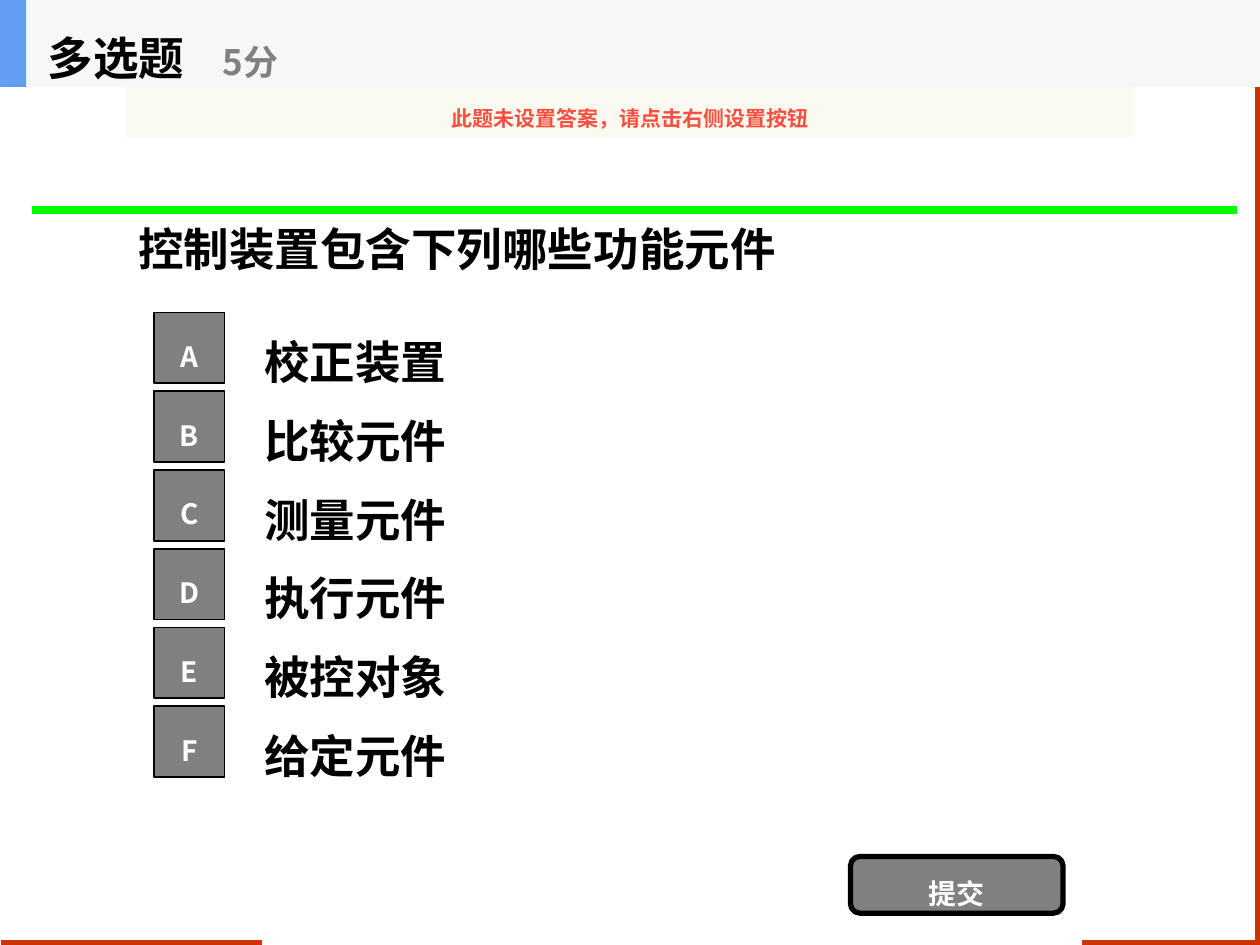
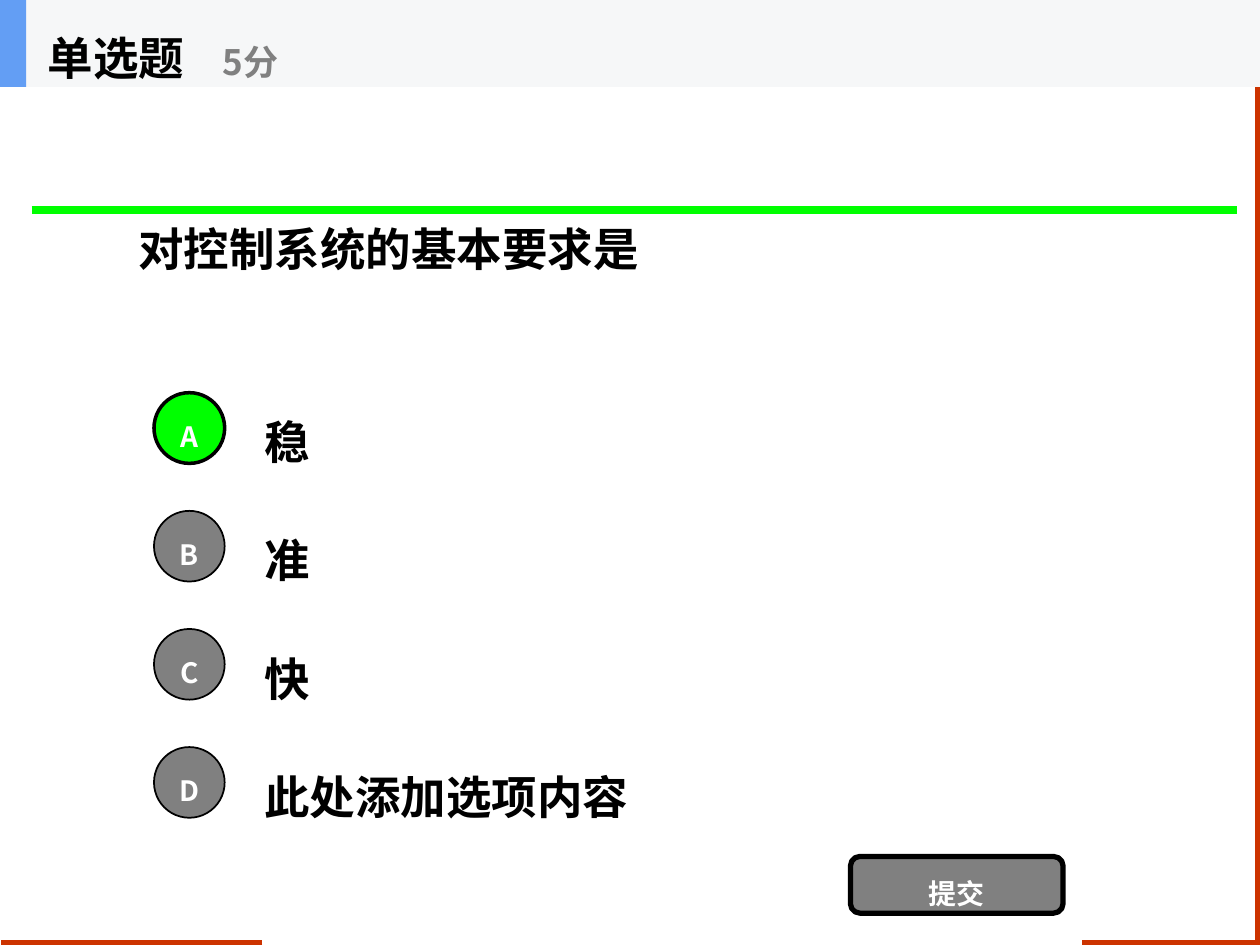
from typing import NamedTuple

from lxml import etree
from pptx import Presentation
from pptx.dml.color import RGBColor
from pptx.enum.shapes import MSO_CONNECTOR, MSO_SHAPE
from pptx.enum.text import MSO_ANCHOR, PP_ALIGN
from pptx.oxml.ns import qn
from pptx.util import Pt

RECT = MSO_SHAPE.RECTANGLE
OVAL = MSO_SHAPE.OVAL
ROUNDED = MSO_SHAPE.ROUNDED_RECTANGLE
STRAIGHT = MSO_CONNECTOR.STRAIGHT
MIDDLE = MSO_ANCHOR.MIDDLE
CENTER = PP_ALIGN.CENTER
JUSTIFY = PP_ALIGN.JUSTIFY

BLACK = RGBColor(0x00, 0x00, 0x00)
WHITE = RGBColor(0xFF, 0xFF, 0xFF)
GRAY = RGBColor(0x80, 0x80, 0x80)
GREEN = RGBColor(0x00, 0xFF, 0x00)
FRAME_RED = RGBColor(0xCC, 0x33, 0x00)
BAND_GRAY = RGBColor(0xF6, 0xF7, 0xF8)
BAND_BLUE = RGBColor(0x63, 0x9E, 0xF4)
HINT_CREAM = RGBColor(0xFB, 0xFA, 0xEF)
HINT_RED = RGBColor(0xF8, 0x4F, 0x41)

FONT = "Noto Sans CJK SC"
PAGE_WIDTH, PAGE_HEIGHT = 720, 540
BAND_HEIGHT = 49.7
BODY_LEFT, BODY_WIDTH = 72, 576
MARKER_LEFT, MARKER_SIZE = 88, 40.4
OPTION_LEFT, OPTION_WIDTH, OPTION_HEIGHT = 144, 504, 50.4


class Area(NamedTuple):
    left: float
    top: float
    width: float
    height: float


class Rule(NamedTuple):
    start: tuple[float, float]
    end: tuple[float, float]
    color: RGBColor
    weight: float


class TextStyle(NamedTuple):
    size: float
    color: RGBColor
    align: PP_ALIGN


class Question(NamedTuple):
    kind: str
    prompt: str
    options: list[str]
    marker: MSO_SHAPE
    first_top: float
    step: float
    chosen: str = ""
    hint: str = ""


BODY = TextStyle(26, BLACK, JUSTIFY)
SCORE = TextStyle(20, GRAY, JUSTIFY)
BUTTON = TextStyle(16, WHITE, CENTER)
HINT = TextStyle(12, HINT_RED, CENTER)

FRAME = [
    Rule((149.8, 538.6), (0.7, 538.6), FRAME_RED, 3),
    Rule((718.6, 540), (718.6, 0), FRAME_RED, 3),
    Rule((717.1, 538.6), (618.5, 538.6), FRAME_RED, 3),
    Rule((18, 120), (707, 120), GREEN, 4.5),
]

QUESTIONS = [
    Question(
        "多选题", "控制装置包含下列哪些功能元件",
        ["校正装置", "比较元件", "测量元件", "执行元件", "被控对象", "给定元件"],
        RECT, 178.6, 45, hint="此题未设置答案，请点击右侧设置按钮",
    ),
    Question(
        "单选题", "对控制系统的基本要求是",
        ["稳", "准", "快", "此处添加选项内容"],
        OVAL, 224.4, 67.5, chosen="A",
    ),
]


def write(box, text: str, style: TextStyle) -> None:
    frame = box.text_frame
    frame.word_wrap = True
    frame.vertical_anchor = MIDDLE
    para = frame.paragraphs[0]
    para.alignment = style.align
    para.line_spacing = 1.5
    span = para.add_run()
    span.text = text
    span.font.size = Pt(style.size)
    span.font.bold = True
    span.font.name = FONT
    span.font.color.rgb = style.color
    # East Asian letters need their own typeface entry
    east_asian = etree.SubElement(span.font._element, qn("a:ea"))
    east_asian.set("typeface", FONT)


def add_text(shapes, area: Area, text: str, style: TextStyle) -> None:
    write(shapes.add_textbox(*map(Pt, area)), text, style)


def add_block(shapes, kind: MSO_SHAPE, area: Area, fill: RGBColor, weight: float = 0):
    block = shapes.add_shape(kind, *map(Pt, area))
    block.shadow.inherit = False
    block.fill.solid()
    block.fill.fore_color.rgb = fill
    if weight:
        block.line.color.rgb = BLACK
        block.line.width = Pt(weight)
    else:
        block.line.fill.background()
    return block


def add_rule(page, rule: Rule) -> None:
    line = page.shapes.add_connector(STRAIGHT, *map(Pt, rule.start + rule.end))
    line.line.color.rgb = rule.color
    line.line.width = Pt(rule.weight)
    etree.SubElement(line._element.spPr, qn("a:effectLst"))


def add_header(page, kind: str) -> None:
    shapes = page.shapes.add_group_shape().shapes
    add_block(shapes, RECT, Area(0, 0, PAGE_WIDTH, BAND_HEIGHT), BAND_GRAY)
    add_block(shapes, RECT, Area(0, 0, 15, BAND_HEIGHT), BAND_BLUE)
    add_text(shapes, Area(20.2, 0, 150, BAND_HEIGHT), kind, BODY)
    add_text(shapes, Area(120, 8.8, 180, 40.4), "5分", SCORE)


def add_hint(page, hint: str) -> None:
    strip = add_block(page.shapes, RECT, Area(BODY_LEFT, BAND_HEIGHT, BODY_WIDTH, 28.8), HINT_CREAM)
    color = strip._element.spPr.find(".//" + qn("a:srgbClr"))
    etree.SubElement(color, qn("a:alpha")).set("val", "90000")
    write(strip, hint, HINT)


def add_options(page, question: Question) -> None:
    for row, option in enumerate(question.options):
        letter = "ABCDEF"[row]
        top = question.first_top + row * question.step
        is_chosen = letter == question.chosen
        add_text(page.shapes, Area(OPTION_LEFT, top - 5, OPTION_WIDTH, OPTION_HEIGHT), option, BODY)
        marker = add_block(
            page.shapes, question.marker, Area(MARKER_LEFT, top, MARKER_SIZE, MARKER_SIZE),
            GREEN if is_chosen else GRAY, 2 if is_chosen else 1,
        )
        write(marker, letter, BUTTON)


def add_question(deck, question: Question) -> None:
    page = deck.slides.add_slide(deck.slide_layouts[6])
    for rule in FRAME:
        add_rule(page, rule)
    add_text(page.shapes, Area(BODY_LEFT, BAND_HEIGHT, BODY_WIDTH, 168.5), question.prompt, BODY)
    add_options(page, question)
    submit = add_block(page.shapes, ROUNDED, Area(486, 489.4, 121.5, 32.4), GRAY, 3)
    write(submit, "提交", BUTTON)
    add_header(page, question.kind)
    if question.hint:
        add_hint(page, question.hint)


def main() -> None:
    deck = Presentation()
    deck.slide_width, deck.slide_height = Pt(PAGE_WIDTH), Pt(PAGE_HEIGHT)
    for question in QUESTIONS:
        add_question(deck, question)
    deck.save("out.pptx")


if __name__ == "__main__":
    main()
